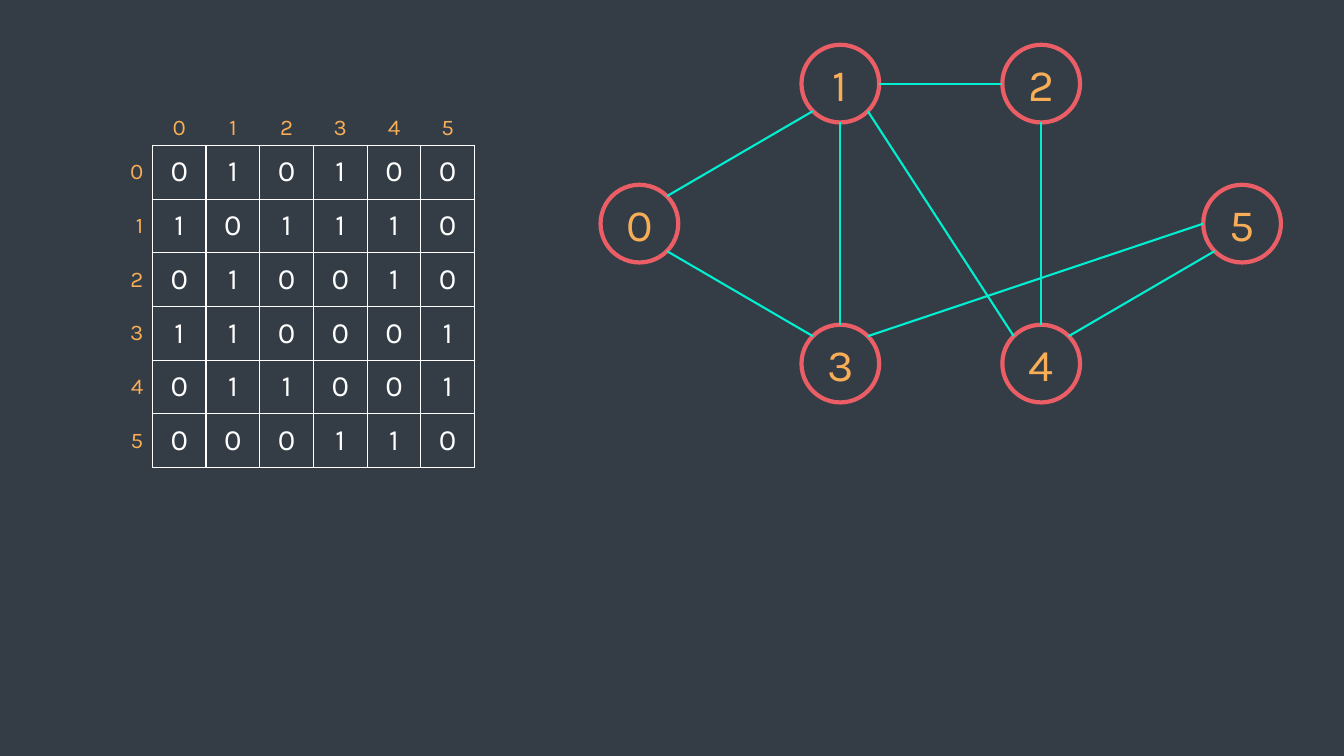
from collections import namedtuple
from dataclasses import dataclass
from enum import IntEnum
from math import cos, pi, sin

from lxml.etree import SubElement
from pptx import Presentation
from pptx.dml.color import RGBColor
from pptx.enum.shapes import MSO_CONNECTOR, MSO_SHAPE
from pptx.enum.text import MSO_ANCHOR, PP_ALIGN
from pptx.oxml.ns import qn
from pptx.util import Emu, Pt


@dataclass(frozen=True)
class Theme:
    background: str = "343D46"
    ring: str = "EC5E66"
    node_label: str = "F9AD57"
    edge: str = "00EFD1"
    index: str = "F9AE57"
    value: str = "FFFFFF"
    border: str = "FFFFFF"
    font: str = "Karla"
    node_size: int = 32
    index_size: int = 16
    value_size: int = 21
    ring_width: float = 3
    edge_width: float = 1.5
    border_width: float = 1


class Site(IntEnum):
    TOP = 0
    TOP_LEFT = 1
    LEFT = 2
    BOTTOM_LEFT = 3
    BOTTOM = 4
    BOTTOM_RIGHT = 5
    RIGHT = 6
    TOP_RIGHT = 7


THEME = Theme()
Edge = namedtuple("Edge", "start start_site end end_site")

EMU_PER_PX = 6350
SLIDE_WIDTH, SLIDE_HEIGHT = 1920, 1080
GRAPH_LEFT, GRAPH_TOP = 858, 64
COLUMN_STEP, ROW_STEP = 287, 200
DIAMETER = 111
MATRIX_LEFT, MATRIX_TOP, MATRIX_SIDE = 141, 131, 537

NODE_SLOTS = [(0, 1), (1, 0), (2, 0), (1, 2), (2, 2), (3, 1)]
EDGES = [
    Edge(1, Site.BOTTOM_LEFT, 0, Site.TOP_RIGHT),
    Edge(3, Site.TOP, 1, Site.BOTTOM),
    Edge(0, Site.BOTTOM_RIGHT, 3, Site.TOP_LEFT),
    Edge(1, Site.RIGHT, 2, Site.LEFT),
    Edge(1, Site.BOTTOM_RIGHT, 4, Site.TOP_LEFT),
    Edge(2, Site.BOTTOM, 4, Site.TOP),
    Edge(4, Site.TOP_RIGHT, 5, Site.BOTTOM_LEFT),
    Edge(3, Site.TOP_RIGHT, 5, Site.LEFT),
]


def px(length):
    return Emu(length * EMU_PER_PX)


def rgb(color):
    return RGBColor.from_string(color)


def write_label(frame, label, size, color, align=PP_ALIGN.CENTER):
    frame.text = label
    paragraph = frame.paragraphs[0]
    paragraph.alignment = align
    for run in paragraph.runs:
        run.font.name = THEME.font
        run.font.size = Pt(size)
        run.font.bold = False
        run.font.color.rgb = rgb(color)


def add_node(slide, label, column, row):
    node = slide.shapes.add_shape(
        MSO_SHAPE.OVAL,
        px(GRAPH_LEFT + column * COLUMN_STEP),
        px(GRAPH_TOP + row * ROW_STEP),
        px(DIAMETER),
        px(DIAMETER),
    )
    node.shadow.inherit = False
    node.fill.solid()
    node.fill.fore_color.rgb = rgb(THEME.background)
    node.line.color.rgb = rgb(THEME.ring)
    node.line.width = Pt(THEME.ring_width)
    node.text_frame.vertical_anchor = MSO_ANCHOR.MIDDLE
    write_label(node.text_frame, label, THEME.node_size, THEME.node_label)
    return node


def rim_point(node, site):
    angle = pi / 2 + site * pi / 4
    radius = node.width / 2
    return (
        Emu(round(node.left + radius + radius * cos(angle))),
        Emu(round(node.top + radius - radius * sin(angle))),
    )


def add_edge(slide, nodes, edge):
    start, end = nodes[edge.start], nodes[edge.end]
    start_point = rim_point(start, edge.start_site)
    end_point = rim_point(end, edge.end_site)
    link = slide.shapes.add_connector(MSO_CONNECTOR.STRAIGHT, *start_point, *end_point)
    link.begin_connect(start, 0)
    link.end_connect(end, 0)
    link.begin_x, link.begin_y = start_point
    link.end_x, link.end_y = end_point
    for tag, site in (("a:stCxn", edge.start_site), ("a:endCxn", edge.end_site)):
        next(link.element.iter(qn(tag))).set("idx", str(int(site)))
    link.line.color.rgb = rgb(THEME.edge)
    link.line.width = Pt(THEME.edge_width)
    SubElement(link.element.spPr, qn("a:effectLst"))


def set_borders(cell, visible_sides):
    properties = cell._tc.get_or_add_tcPr()
    for side in "LRTB":
        border = SubElement(properties, qn(f"a:ln{side}"), w=str(Pt(THEME.border_width)))
        if side in visible_sides:
            paint = SubElement(border, qn("a:solidFill"))
            SubElement(paint, qn("a:srgbClr"), val=THEME.border)
        else:
            SubElement(border, qn("a:noFill"))


def fill_cell(cell, row, column, neighbours):
    if row and column:
        sides, anchor, align = "LRTB", MSO_ANCHOR.MIDDLE, PP_ALIGN.CENTER
        label = str(int((row - 1, column - 1) in neighbours))
        size, color = THEME.value_size, THEME.value
    else:
        sides = "R" if row else "B" if column else ""
        anchor = MSO_ANCHOR.MIDDLE if row else MSO_ANCHOR.BOTTOM
        align = PP_ALIGN.RIGHT if row else PP_ALIGN.CENTER
        label = str(row + column - 1) if row or column else ""
        size, color = THEME.index_size, THEME.index
    set_borders(cell, sides)
    cell.fill.background()
    cell.vertical_anchor = anchor
    cell.margin_left = cell.margin_right = px(13)
    cell.margin_top = cell.margin_bottom = px(6)
    write_label(cell.text_frame, label, size, color, align)


def add_matrix(slide):
    count = len(NODE_SLOTS) + 1
    matrix = slide.shapes.add_table(
        count, count, px(MATRIX_LEFT), px(MATRIX_TOP), px(MATRIX_SIDE), px(MATRIX_SIDE)
    ).table
    matrix.first_row = matrix.horz_banding = False
    neighbours = {(edge.start, edge.end) for edge in EDGES}
    neighbours |= {(end, start) for start, end in neighbours}
    for row in range(count):
        for column in range(count):
            fill_cell(matrix.cell(row, column), row, column, neighbours)


def main():
    presentation = Presentation()
    presentation.slide_width = px(SLIDE_WIDTH)
    presentation.slide_height = px(SLIDE_HEIGHT)
    slide = presentation.slides.add_slide(presentation.slide_layouts[6])
    slide.background.fill.solid()
    slide.background.fill.fore_color.rgb = rgb(THEME.background)
    nodes = [add_node(slide, str(i), *slot) for i, slot in enumerate(NODE_SLOTS)]
    for edge in EDGES:
        add_edge(slide, nodes, edge)
    add_matrix(slide)
    presentation.save("out.pptx")


if __name__ == "__main__":
    main()
